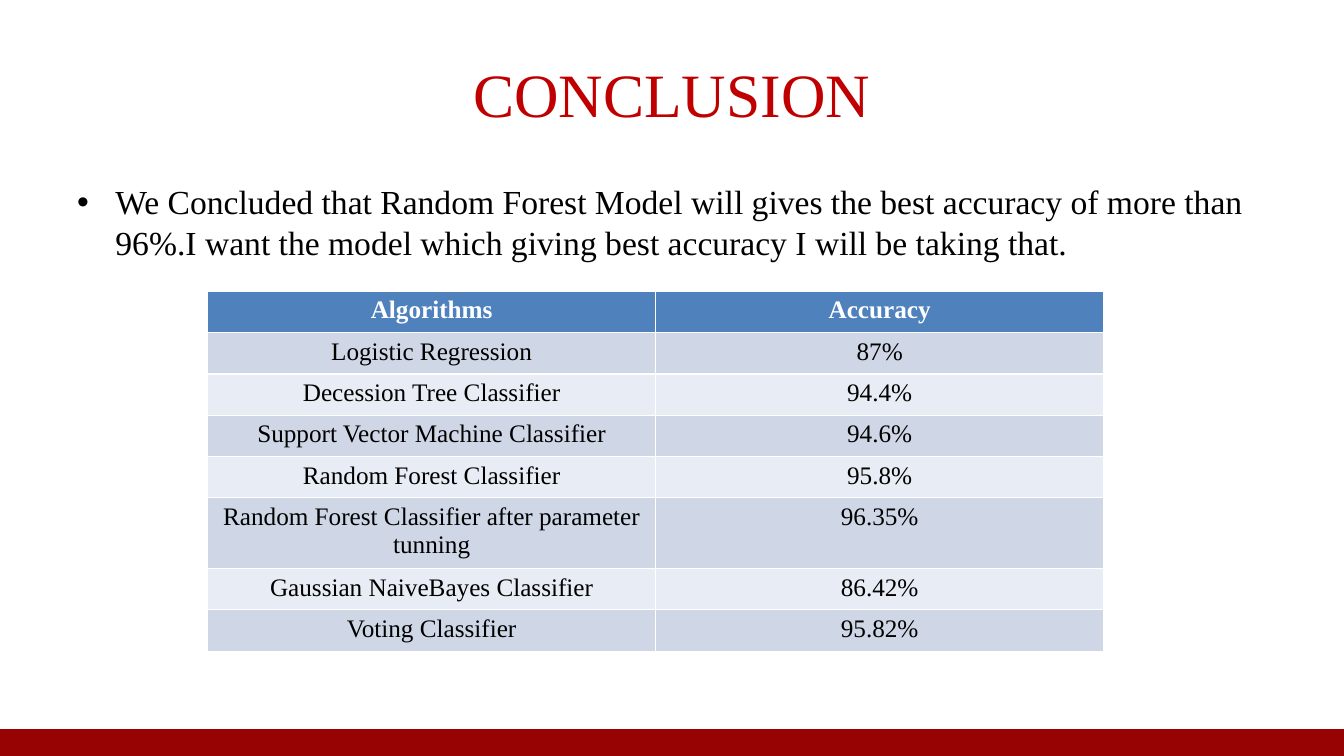
import pptx
import pptx.util
import pptx.dml.color
import pptx.enum.shapes
import pptx.enum.text
from lxml import etree

Inches, Pt = pptx.util.Inches, pptx.util.Pt
RGBColor = pptx.dml.color.RGBColor
CENTER = pptx.enum.text.PP_ALIGN.CENTER
MIDDLE = pptx.enum.text.MSO_ANCHOR.MIDDLE

BLACK = RGBColor(0x00, 0x00, 0x00)
WHITE = RGBColor(0xFF, 0xFF, 0xFF)
RED = RGBColor(0xC0, 0x00, 0x00)
MAROON = RGBColor(0x97, 0x03, 0x03)
BLUE = RGBColor(0x4F, 0x81, 0xBD)
DARK = RGBColor(0xCF, 0xD7, 0xE7)
LIGHT = RGBColor(0xE8, 0xEC, 0xF4)

WIDE, HIGH = 13.33, 7.5
EDGE = WIDE / 20
BAR = HIGH / 30
ROW, COL = 0.41, WIDE / 3

deck = pptx.Presentation()
deck.slide_width, deck.slide_height = Inches(WIDE), Inches(HIGH)
slide = deck.slides.add_slide(deck.slide_layouts[6])


def style(para, size, color, bold=False):
    """Set the font of a whole paragraph."""
    font = para.font
    font.name, font.size, font.bold = "Times New Roman", Pt(size), bold
    font.color.rgb = color


def add_text(top, height, text):
    """Add a wrapping text box between the side margins."""
    box = slide.shapes.add_textbox(
        Inches(EDGE), Inches(top), Inches(WIDE - 2 * EDGE), Inches(height))
    box.text_frame.word_wrap = True
    box.text_frame.text = text
    return box.text_frame


# Bottom bar
bar = slide.shapes.add_shape(
    pptx.enum.shapes.MSO_SHAPE.RECTANGLE,
    0, Inches(HIGH - BAR), Inches(WIDE), Inches(BAR))
bar.shadow.inherit = False
bar.fill.solid()
bar.fill.fore_color.rgb = MAROON
bar.line.color.rgb = MAROON
bar.line.width = Pt(2)

# Title
title = add_text(0.3, HIGH / 6, "CONCLUSION")
title.vertical_anchor = MIDDLE
title.paragraphs[0].alignment = CENTER
style(title.paragraphs[0], 44, RED)

# Bulleted finding
body = add_text(
    1.75, 4.95,
    "We Concluded that Random Forest Model will gives the best accuracy of "
    "more than 96%.I want the model which giving best accuracy I will be "
    "taking that.")
point = body.paragraphs[0]
props = point._p.get_or_add_pPr()
props.set("marL", str(Inches(0.38)))
props.set("indent", str(Inches(-0.38)))
ns = "{http://schemas.openxmlformats.org/drawingml/2006/main}"
etree.SubElement(props, ns + "buFont", typeface="Arial")
etree.SubElement(props, ns + "buChar", char="•")
style(point, 24, BLACK)

# Accuracy table
rows = [
    ("Algorithms", "Accuracy"),
    ("Logistic Regression", "87%"),
    ("Decession Tree Classifier", "94.4%"),
    ("Support Vector Machine Classifier", "94.6%"),
    ("Random Forest Classifier", "95.8%"),
    ("Random Forest Classifier after parameter tunning", "96.35%"),
    ("Gaussian NaiveBayes Classifier", "86.42%"),
    ("Voting Classifier", "95.82%"),
]
table = slide.shapes.add_table(
    len(rows), 2, Inches(2.06), Inches(2.89),
    Inches(2 * COL), Inches(ROW * len(rows))).table
for r, row in enumerate(rows):
    head = r == 0
    for c, text in enumerate(row):
        cell = table.cell(r, c)
        cell.text = text
        cell.fill.solid()
        cell.fill.fore_color.rgb = BLUE if head else DARK if r % 2 else LIGHT
        para = cell.text_frame.paragraphs[0]
        para.alignment = CENTER
        style(para, 18, WHITE if head else BLACK, head)

deck.save("out.pptx")
